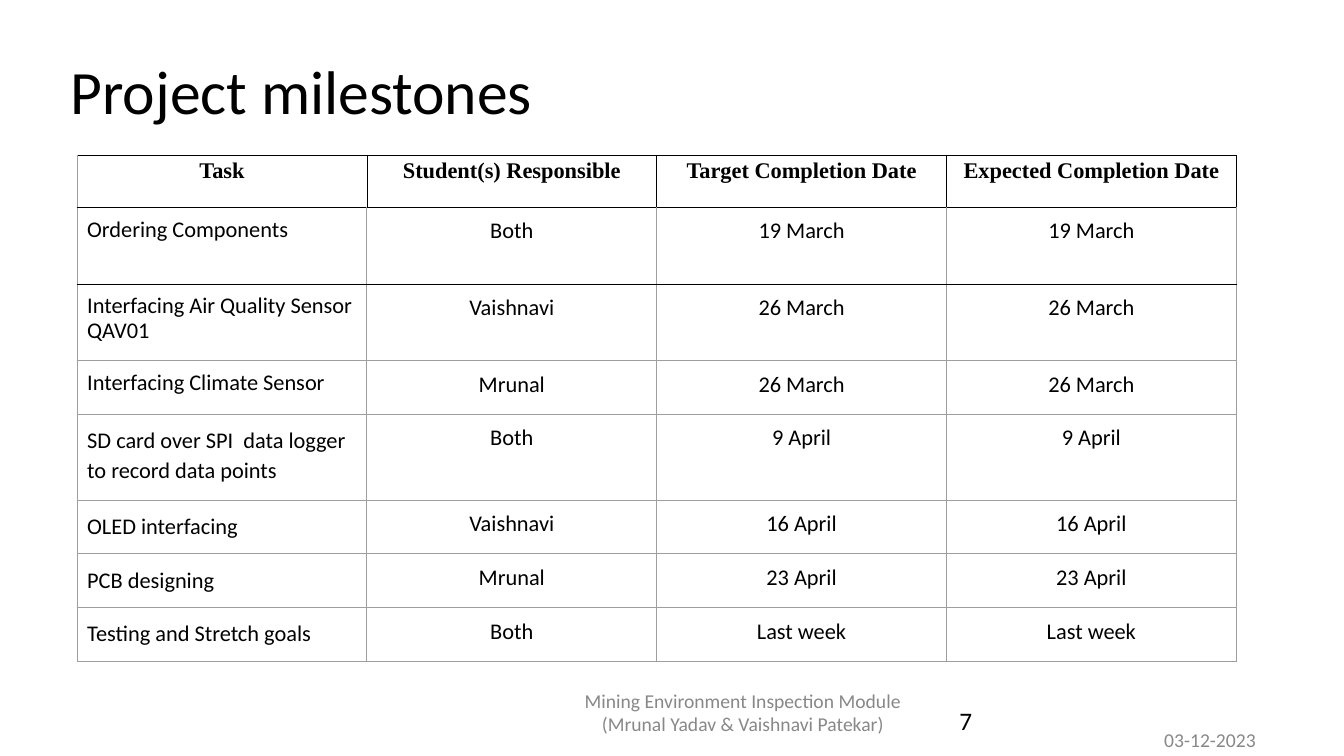
from dataclasses import dataclass

from lxml import etree
from pptx import Presentation
from pptx.dml.color import RGBColor
from pptx.enum.text import MSO_ANCHOR, MSO_AUTO_SIZE, PP_ALIGN
from pptx.oxml.ns import qn
from pptx.util import Pt

LEFT, CENTER = PP_ALIGN.LEFT, PP_ALIGN.CENTER
MIDDLE, TOP = MSO_ANCHOR.MIDDLE, MSO_ANCHOR.TOP
NO_FIT = MSO_AUTO_SIZE.NONE
TITLE_ONLY = 5
BLACK, GREY, GRID = "000000", "888888", "9E9E9E"
COLUMN_WIDTH = 207
HEADINGS = ("Task", "Student(s) Responsible", "Target Completion Date",
            "Expected Completion Date")


@dataclass(frozen=True)
class Milestone:
    task: str
    student: str
    date: str
    height: float
    line_spacing: float = 0.9
    before: float = 10
    after: float = 0


@dataclass(frozen=True)
class Label:
    text: str
    left: float
    top: float
    width: float
    height: float
    size: float = 14
    color: str = GREY
    align: PP_ALIGN = CENTER
    inset: float = 7.2


MILESTONES = (
    Milestone("Ordering Components", "Both", "19 March", 54.7),
    Milestone("Interfacing Air Quality Sensor QAV01", "Vaishnavi", "26 March", 54.7),
    Milestone("Interfacing Climate Sensor", "Mrunal", "26 March", 38.4),
    Milestone("SD card over SPI  data logger to record data points", "Both",
              "9 April", 61.3, 1.1, 0, 6),
    Milestone("OLED interfacing", "Vaishnavi", "16 April", 38.4, 1.1, 0, 6),
    Milestone("PCB designing", "Mrunal", "23 April", 38.4, 1.1, 0, 6),
    Milestone("Testing and Stretch goals", "Both", "Last week", 38.4, 1.1, 0, 6),
)
LABELS = (
    Label("7", 678.2, 500.4, 216, 28.8, size=18, color=BLACK, align=LEFT, inset=3.6),
    Label("Mining Environment Inspection Module\n(Mrunal Yadav & Vaishnavi Patekar)",
          266.4, 484.6, 528.5, 48.2),
    Label("03-12-2023", 768.6, 512.9, 191.5, 31.7),
)


def rgb(color: str) -> RGBColor:
    return RGBColor.from_string(color)


def write(frame, text: str, *, size: float = 16, font: str = "Calibri",
          color: str = BLACK, bold: bool = False, align: PP_ALIGN = LEFT,
          line_spacing: float = 1.0, before: float = 0, after: float = 0) -> None:
    """Fill a text frame, one paragraph for each line of text."""
    for index, line in enumerate(text.split("\n")):
        para = frame.add_paragraph() if index else frame.paragraphs[0]
        para.alignment = align
        para.line_spacing = line_spacing
        para.space_before, para.space_after = Pt(before), Pt(after)
        span = para.add_run()
        span.text = line
        span.font.size, span.font.name = Pt(size), font
        span.font.bold = bold
        span.font.color.rgb = rgb(color)


def set_borders(cell, row: int, column: int) -> None:
    """Rule the heading and first milestone in black, the rest in grey."""
    black_sides = {"L": row == 0 and column > 0, "R": row == 0,
                   "T": row <= 2, "B": row <= 1}
    properties = cell._tc.get_or_add_tcPr()
    for index, (side, black) in enumerate(black_sides.items()):
        line = etree.Element(qn(f"a:ln{side}"), w=str(Pt(0.5 if black else 0.75)))
        fill = etree.SubElement(line, qn("a:solidFill"))
        etree.SubElement(fill, qn("a:srgbClr"), val=BLACK if black else GRID)
        properties.insert(index, line)


def add_title(page) -> None:
    title = page.shapes.title
    title.left, title.top, title.width, title.height = Pt(43.2), Pt(15.5), Pt(828), Pt(104.4)
    frame = title.text_frame
    frame.auto_size, frame.vertical_anchor = NO_FIT, MIDDLE
    write(frame, "Project milestones", size=44, line_spacing=0.9)


def add_label(page, label: Label) -> None:
    box = page.shapes.add_textbox(Pt(label.left), Pt(label.top),
                                  Pt(label.width), Pt(label.height))
    frame = box.text_frame
    frame.word_wrap = True
    frame.margin_top = frame.margin_bottom = Pt(label.inset)
    write(frame, label.text, size=label.size, color=label.color, align=label.align)


def add_milestone_table(page) -> None:
    heights = [37.4, *(milestone.height for milestone in MILESTONES)]
    table = page.shapes.add_table(
        len(heights), len(HEADINGS), Pt(55.1), Pt(110.8),
        Pt(COLUMN_WIDTH * len(HEADINGS)), Pt(sum(heights))).table
    table.first_row = table.horz_banding = False
    for column in table.columns:
        column.width = Pt(COLUMN_WIDTH)
    for row, height in zip(table.rows, heights):
        row.height = Pt(height)

    for row in range(len(heights)):
        for column, heading in enumerate(HEADINGS):
            cell = table.cell(row, column)
            cell.fill.background()
            cell.vertical_anchor = TOP
            side, edge = (7.2, 7.2) if row else (5.4, 0)
            cell.margin_left = cell.margin_right = Pt(side)
            cell.margin_top = cell.margin_bottom = Pt(edge)
            set_borders(cell, row, column)
            if row == 0:
                write(cell.text_frame, heading, font="Times New Roman", bold=True,
                      align=CENTER, line_spacing=1.15)
                continue
            milestone = MILESTONES[row - 1]
            if column == 0:
                write(cell.text_frame, milestone.task, before=milestone.before,
                      after=milestone.after, line_spacing=milestone.line_spacing)
            else:
                text = milestone.student if column == 1 else milestone.date
                write(cell.text_frame, text, align=CENTER)


def main() -> None:
    deck = Presentation()
    deck.slide_width, deck.slide_height = Pt(960), Pt(540)
    page = deck.slides.add_slide(deck.slide_layouts[TITLE_ONLY])
    add_title(page)
    add_milestone_table(page)
    for label in LABELS:
        add_label(page, label)
    deck.save("out.pptx")


if __name__ == "__main__":
    main()
